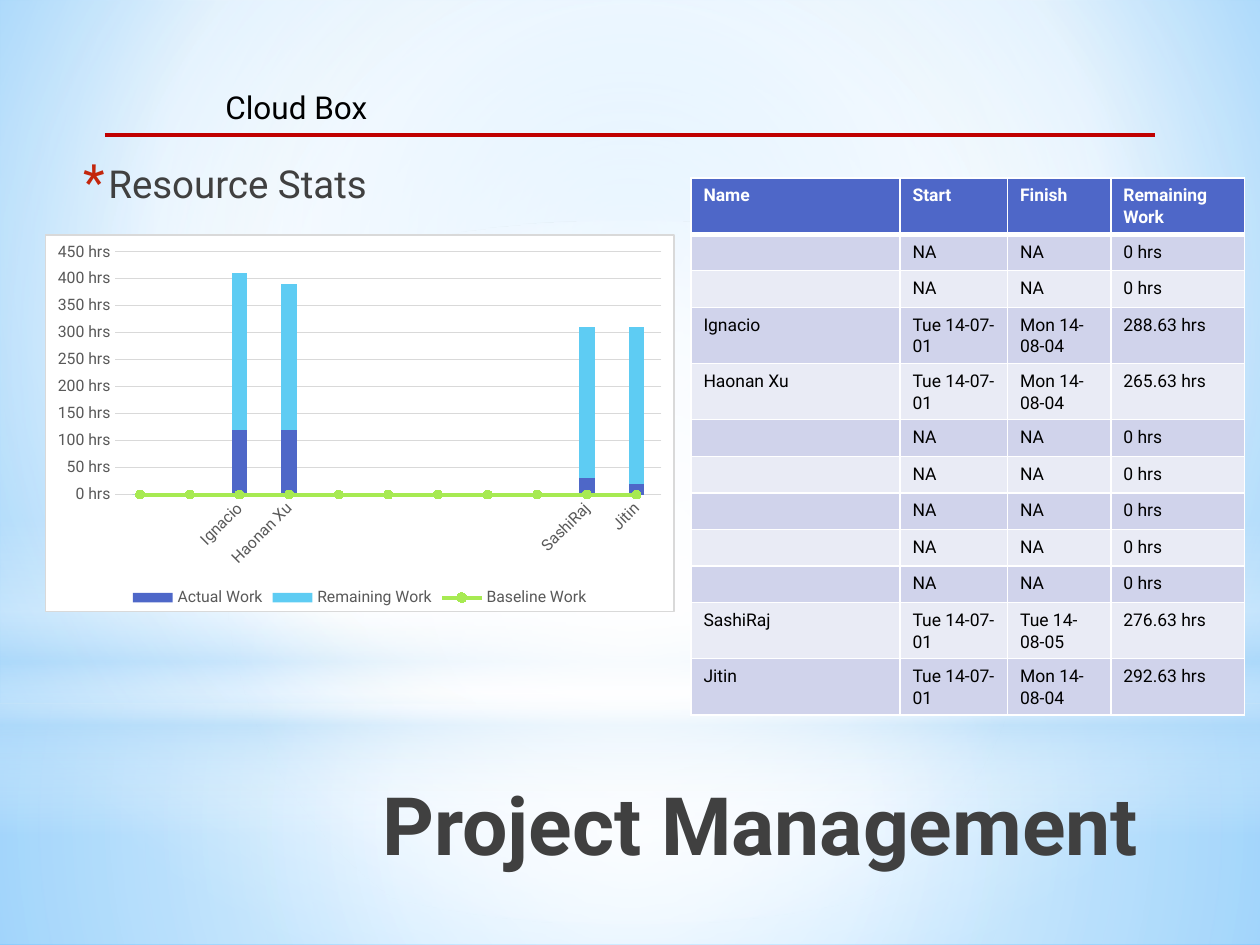
from lxml import etree
from pptx import Presentation
from pptx.chart.data import CategoryChartData
from pptx.dml.color import RGBColor
from pptx.enum import chart as charts, shapes, text
from pptx.oxml import parse_xml
from pptx.oxml.ns import nsdecls, qn
from pptx.util import Pt

# Content
FONT = "Roboto"
TITLE, HEADING, PROJECT = "Project Management", "Resource Stats", "Cloud Box"
IDLE = ("", "NA", "NA", "0 hrs")
START, FINISH = "Tue 14-07-01", "Mon 14-08-04"
TABLE = [
    ("Name", "Start", "Finish", "Remaining Work"),
    IDLE, IDLE,
    ("Ignacio", START, FINISH, "288.63 hrs"),
    ("Haonan Xu", START, FINISH, "265.63 hrs"),
    *[IDLE] * 5,
    ("SashiRaj", START, "Tue 14-08-05", "276.63 hrs"),
    ("Jitin", START, FINISH, "292.63 hrs"),
]
COLUMN_WIDTHS = (119.5, 61.5, 59, 76.5)
SERIES = [
    ("Actual Work", "4E67C8", (0, 0, 120, 120, 0, 0, 0, 0, 0, 30, 20)),
    ("Remaining Work", "5ECCF3", (0, 0, 290, 270, 0, 0, 0, 0, 0, 280, 290)),
    ("Baseline Work", "A7EA52", (0,) * 11),
]
# Gradient stops: position %, colour, opacity %
CENTRE = (50, 50, 50, 50)
BACKGROUND = [(0, "9ED5FF", 100), (60, "FFFFFF", 100), (100, "5BB9FF", 100)]
RECTANGLE, OVAL = shapes.MSO_SHAPE.RECTANGLE, shapes.MSO_SHAPE.OVAL
GLOWS = [  # preset, top, height, stops, focus (None for a vertical gradient)
    (RECTANGLE, 402, 138, [(0, "FFFFFF", 91), (37, "FFFFFF", 76), (100, "B4DCFA", 79)], CENTRE),
    (RECTANGLE, 0, 402, [(0, "FFFFFF", 89), (48, "FFFFFF", 62), (100, "B4DCFA", 79)], CENTRE),
    (RECTANGLE, 297, 180, [(0, "FFFFFF", 0), (29, "FFFFFF", 30), (45, "B4DCFA", 40),
                           (55, "FFFFFF", 26), (65, "B4DCFA", 60), (100, "FFFFFF", 0)], None),
    (OVAL, 126, 402, [(0, "FFFFFF", 100), (56, "FFFFFF", 0)], CENTRE),
]


def colour(value):
    return RGBColor.from_string(value)


def box(left, top, width, height):
    return Pt(left), Pt(top), Pt(width), Pt(height)


def style(font, size, value, bold=False):
    font.name, font.size, font.bold = FONT, Pt(size), bold
    font.color.rgb = colour(value)


def place(shape, *bounds):
    shape.left, shape.top, shape.width, shape.height = box(*bounds)
    frame = shape.text_frame
    frame.word_wrap, frame.auto_size = True, text.MSO_AUTO_SIZE.NONE
    frame.vertical_anchor = text.MSO_ANCHOR.TOP
    return frame


def gradient(properties, stops, focus):
    """Swap the solid fill in a properties element for a gradient."""
    marks = "".join(
        f'<a:gs pos="{position * 1000}"><a:srgbClr val="{value}">'
        f'<a:alpha val="{opacity * 1000}"/></a:srgbClr></a:gs>'
        for position, value, opacity in stops)
    direction = '<a:lin ang="5400000" scaled="0"/>'
    if focus:
        sides = " ".join(f'{side}="{part * 1000}"' for side, part in zip("ltrb", focus))
        direction = f'<a:path path="circle"><a:fillToRect {sides}/></a:path>'
    solid = properties.find(qn("a:solidFill"))
    properties.replace(solid, parse_xml(
        f'<a:gradFill {nsdecls("a")} rotWithShape="1"><a:gsLst>{marks}</a:gsLst>'
        f'{direction}</a:gradFill>'))


def add_glows(slide):
    slide.background.fill.solid()
    gradient(slide.element.find(".//" + qn("p:bgPr")), BACKGROUND, (20, 10, 20, 60))
    for index, (preset, top, height, stops, focus) in enumerate(GLOWS):
        shape = slide.shapes.add_shape(preset, *box(0, top, 720, height))
        shape.shadow.inherit = False
        shape.line.fill.background()
        shape.fill.solid()
        gradient(shape.element.spPr, stops, focus)
        shape.element.getparent().insert(2 + index, shape.element)  # behind the text


def add_texts(slide):
    # Title
    frame = place(slide.shapes.title, 144.7, 434.9, 512.6, 90)
    frame.margin_top = Pt(8)
    frame.text = TITLE
    paragraph = frame.paragraphs[0]
    paragraph.alignment = text.PP_ALIGN.RIGHT
    style(paragraph.font, 46, "404040", True)

    # Bulleted heading
    frame = place(slide.placeholders[1], 36.7, 87.8, 504, 273.6)
    frame.text = HEADING
    paragraph = frame.paragraphs[0]
    paragraph.space_after = Pt(3)
    style(paragraph.font, 22, "404040")
    properties = paragraph._p.get_or_add_pPr()
    properties.set("marL", str(Pt(18)))
    properties.set("indent", str(-Pt(14.4)))
    bullet = parse_xml(
        f'<a:pPr {nsdecls("a")}><a:buClr><a:srgbClr val="C3260C"/></a:buClr>'
        f'<a:buSzPct val="130000"/><a:buFont typeface="{FONT}"/><a:buChar char="*"/></a:pPr>')
    for offset, part in enumerate(list(bullet), start=1):
        properties.insert(offset, part)


def add_chart(slide):
    data = CategoryChartData()
    data.categories = [row[0] for row in TABLE[1:]]
    for name, _, values in SERIES:
        data.add_series(name, values)
    chart = slide.shapes.add_chart(charts.XL_CHART_TYPE.COLUMN_STACKED,
                                   *box(25.5, 134, 360, 216), data).chart
    style(chart.font, 9, "595959")
    chart.has_title = False
    chart.has_legend = True
    chart.legend.position = charts.XL_LEGEND_POSITION.BOTTOM
    chart.legend.include_in_layout = False
    style(chart.legend.font, 9, "595959")

    # Axes
    for axis in (chart.category_axis, chart.value_axis):
        axis.major_tick_mark = axis.minor_tick_mark = charts.XL_TICK_MARK.NONE
        style(axis.tick_labels.font, 9, "595959")
    values = chart.value_axis
    values.minimum_scale, values.maximum_scale, values.major_unit = 0, 450, 50
    values.tick_labels.number_format = '#,##0_ "hrs"'
    values.tick_labels.number_format_is_linked = False
    values.format.line.fill.background()
    for line in (chart.category_axis.format.line, values.major_gridlines.format.line):
        line.color.rgb, line.width = colour("D9D9D9"), Pt(0.75)
    category = chart.category_axis._element
    category.find(qn("c:txPr")).find(qn("a:bodyPr")).set("rot", "-2700000")

    # Baseline series drawn as a line on the same axes
    columns = chart.plots[0]
    columns.gap_width, columns.overlap, columns.vary_by_categories = 219, 100, False
    bars = columns._element
    lines = parse_xml(f'<c:lineChart {nsdecls("c")}><c:grouping val="standard"/>'
                      '<c:varyColors val="0"/><c:marker val="1"/></c:lineChart>')
    baseline = bars.findall(qn("c:ser"))[-1]
    for setting in baseline.findall(qn("c:invertIfNegative")):
        baseline.remove(setting)
    lines.insert(2, baseline)
    for axis_id in bars.findall(qn("c:axId")):
        etree.SubElement(lines, qn("c:axId")).set("val", axis_id.get("val"))
    bars.addnext(lines)
    for series, (_, value, _) in zip(columns.series, SERIES):
        series.format.fill.solid()
        series.format.fill.fore_color.rgb = colour(value)
    series, value = chart.plots[1].series[0], SERIES[-1][1]
    series.smooth = False
    series.format.line.color.rgb, series.format.line.width = colour(value), Pt(2.25)
    series.marker.style, series.marker.size = charts.XL_MARKER_STYLE.CIRCLE, 5
    series.marker.format.fill.solid()
    series.marker.format.fill.fore_color.rgb = colour(value)
    series.marker.format.line.color.rgb = colour(value)

    # White panel with a grey border
    chart._chartSpace.find(qn("c:txPr")).addprevious(parse_xml(
        f'<c:spPr {nsdecls("c", "a")}><a:solidFill><a:srgbClr val="FFFFFF"/></a:solidFill>'
        f'<a:ln w="{Pt(0.75)}"><a:solidFill><a:srgbClr val="D9D9D9"/></a:solidFill></a:ln></c:spPr>'))


def add_table(slide):
    table = slide.shapes.add_table(len(TABLE), len(COLUMN_WIDTHS),
                                   *box(394.8, 101.7, sum(COLUMN_WIDTHS), 306)).table
    for column, width in zip(table.columns, COLUMN_WIDTHS):
        column.width = Pt(width)
    for index, row in enumerate(TABLE):
        header = index == 0
        table.rows[index].height = Pt(20.9 if row is IDLE else 32)
        for cell, words in zip(table.rows[index].cells, row):
            cell.text = words
            paragraph = cell.text_frame.paragraphs[0]
            paragraph.line_spacing = 1.07
            style(paragraph.font, 10, "FFFFFF" if header else "000000", header)
            cell.fill.solid()
            cell.fill.fore_color.rgb = colour(
                "4E67C8" if header else "D0D3EB" if index % 2 else "E9EBF5")
            # White borders, thick under the header
            widths = (1, 1, 3 if index == 1 else 1, 3 if header else 1)
            for order, (side, width) in enumerate(zip("LRTB", widths)):
                cell._tc.get_or_add_tcPr().insert(order, parse_xml(
                    f'<a:ln{side} {nsdecls("a")} w="{Pt(width)}"><a:solidFill>'
                    f'<a:srgbClr val="FFFFFF"/></a:solidFill></a:ln{side}>'))


def add_header(slide):
    rule = slide.shapes.add_connector(shapes.MSO_CONNECTOR.STRAIGHT,
                                      Pt(60), Pt(77), Pt(660), Pt(77))
    rule.line.color.rgb, rule.line.width = colour("C00000"), Pt(2.5)
    etree.SubElement(rule._element.spPr, qn("a:effectLst"))
    label = slide.shapes.add_textbox(*box(121.7, 46.8, 238.3, 29))
    label.text_frame.word_wrap = True
    label.text_frame.text = PROJECT
    style(label.text_frame.paragraphs[0].font, 18, "000000")


def main():
    presentation = Presentation()
    presentation.slide_width, presentation.slide_height = Pt(720), Pt(540)
    slide = presentation.slides.add_slide(presentation.slide_layouts[1])
    for build in (add_glows, add_texts, add_chart, add_table, add_header):
        build(slide)
    presentation.save("out.pptx")


if __name__ == "__main__":
    main()
